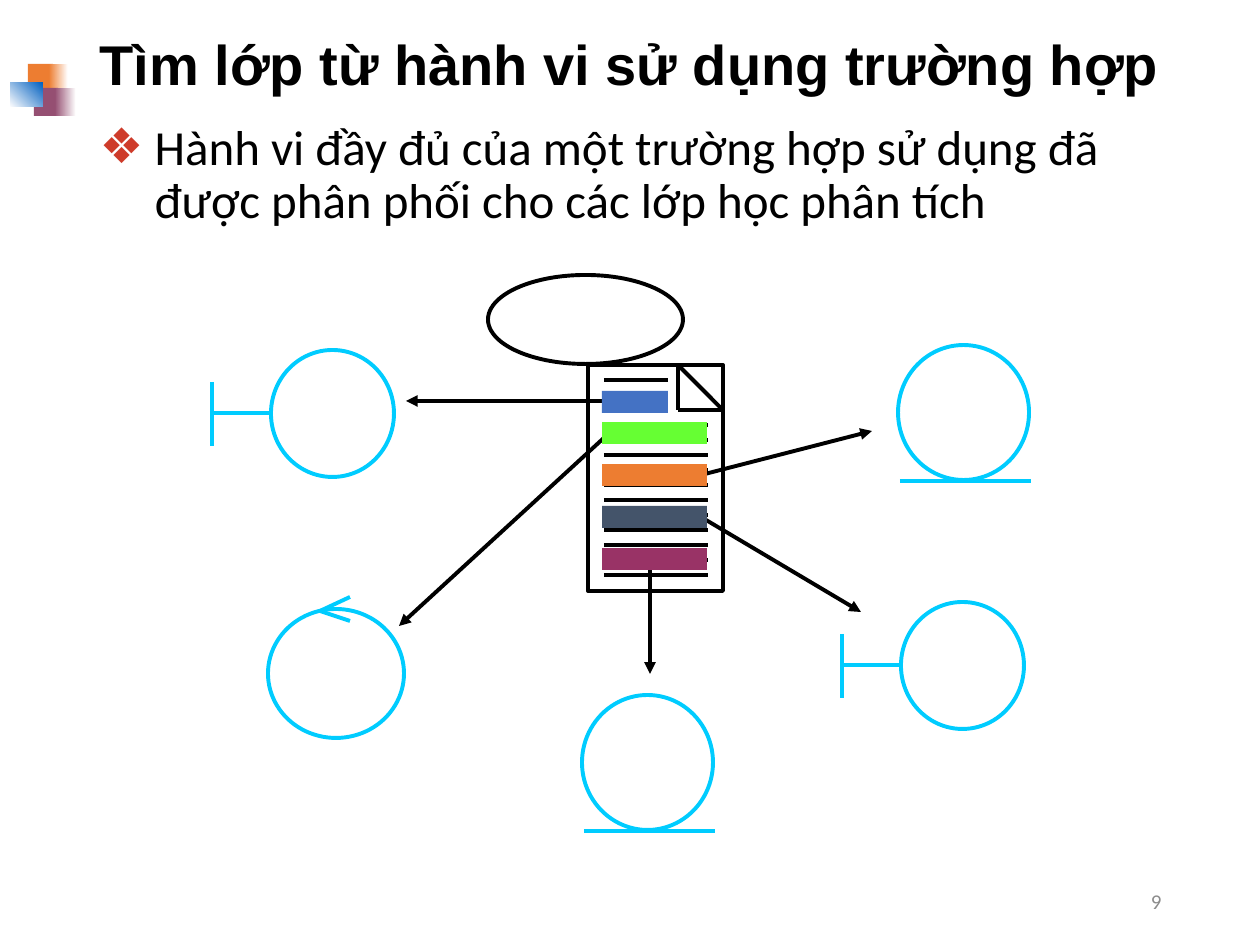
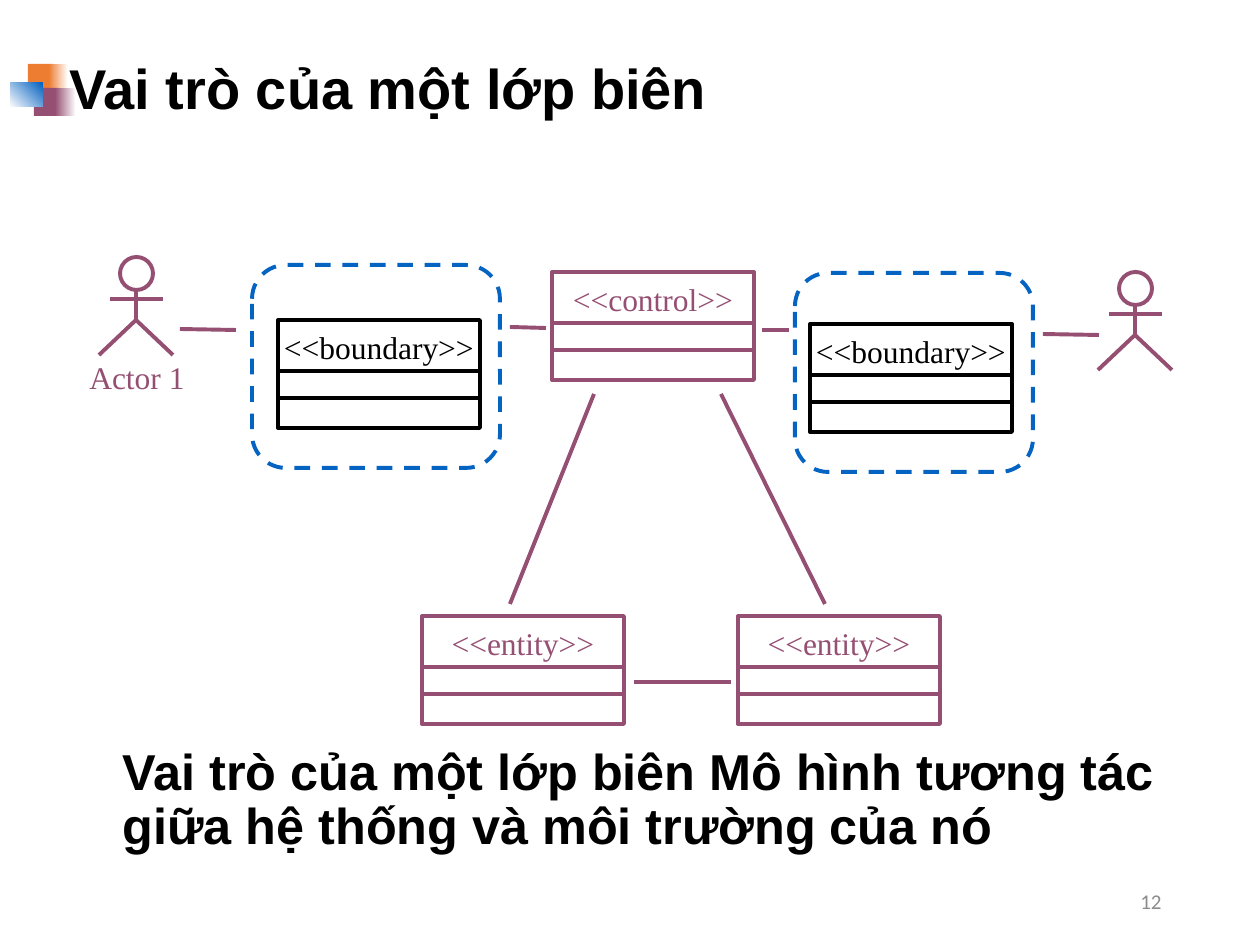
from dataclasses import dataclass

from lxml import etree
from pptx import Presentation
from pptx.dml.color import RGBColor
from pptx.enum.dml import MSO_LINE
from pptx.enum.shapes import MSO_CONNECTOR, MSO_SHAPE
from pptx.enum.text import MSO_ANCHOR, MSO_AUTO_SIZE, PP_ALIGN
from pptx.oxml.ns import qn
from pptx.util import Emu, Pt

RECT = MSO_SHAPE.RECTANGLE
ROUNDED = MSO_SHAPE.ROUNDED_RECTANGLE
OVAL = MSO_SHAPE.OVAL
STRAIGHT = MSO_CONNECTOR.STRAIGHT
DASH = MSO_LINE.DASH
TOP, MIDDLE = MSO_ANCHOR.TOP, MSO_ANCHOR.MIDDLE
LEFT, CENTER, RIGHT = PP_ALIGN.LEFT, PP_ALIGN.CENTER, PP_ALIGN.RIGHT
NO_AUTOFIT = MSO_AUTO_SIZE.NONE

SCALE = 914400 / 126
TITLE_AND_BODY, TITLE_ONLY = 1, 5


@dataclass(frozen=True)
class Theme:
    ink: str = "000000"
    paper: str = "FFFFFF"
    orange: str = "ED7D31"
    plum: str = "954F72"
    blue: str = "0563C1"
    cyan: str = "00CCFF"
    bullet: str = "CE3B2A"
    muted: str = "8C8C8C"
    steps: tuple = ("4472C4", "66FF33", "ED7D31", "44546A", "993366")
    heading_font: str = "Arial"
    body_font: str = "Calibri"
    diagram_font: str = "Times New Roman"
    heading_size: float = 32
    statement_size: float = 28.8
    body_size: float = 28
    diagram_size: float = 18
    number_size: float = 12
    stroke: float = 2.25


def px(length):
    return Emu(round(length * SCALE))


def rgb(value):
    return RGBColor.from_string(value)


def write(frame, text, *, font, size, color, bold=False, align=LEFT,
          anchor=TOP, spacing=None, wrap=True, inset=None, bullet=None):
    frame.auto_size = NO_AUTOFIT
    frame.word_wrap = wrap
    frame.vertical_anchor = anchor
    if inset is not None:
        frame.margin_left = frame.margin_right = px(inset)
        frame.margin_top = frame.margin_bottom = px(inset)
    paragraph = frame.paragraphs[0]
    paragraph.alignment = align
    paragraph.space_before = Pt(0)
    if spacing:
        paragraph.line_spacing = spacing
    if bullet:
        mark, mark_color, indent = bullet
        properties = paragraph._p.get_or_add_pPr()
        properties.set("marL", str(px(indent)))
        properties.set("indent", str(-px(indent)))
        tint = etree.SubElement(properties, qn("a:buClr"))
        etree.SubElement(tint, qn("a:srgbClr"), val=mark_color)
        etree.SubElement(properties, qn("a:buChar"), char=mark)
    run = paragraph.add_run()
    run.text = text
    run.font.name = font
    run.font.size = Pt(size)
    run.font.bold = bold
    run.font.color.rgb = rgb(color)


class Deck:
    def __init__(self, theme):
        self.theme = theme
        self.presentation = Presentation()
        self.presentation.slide_width = px(1260)
        self.presentation.slide_height = px(945)
        self.slide = None

    def start(self, layout, number):
        layouts = self.presentation.slide_layouts
        self.slide = self.presentation.slides.add_slide(layouts[layout])
        self.emblem()
        t = self.theme
        self.text((890, 876, 284, 50), number, font=t.body_font,
                  size=t.number_size, color=t.muted, align=RIGHT,
                  anchor=MIDDLE)

    def emblem(self):
        t = self.theme
        for color, y, solid_x, solid_w, fade_x, fade_w in (
            (t.orange, 64, 28, 25, 49, 19),
            (t.plum, 88, 34, 24, 55, 21),
        ):
            self.shape(RECT, (solid_x, y, solid_w, 28), fill=color)
            self.gradient((fade_x, y, fade_w, 28), color, t.paper, 0)
        self.gradient((10, 83, 33, 24), t.paper, t.blue, 45)

    def placeholder(self, index, box, text, **style):
        holder = self.slide.placeholders[index]
        holder.left, holder.top, holder.width, holder.height = map(px, box)
        write(holder.text_frame, text, **style)

    def heading_style(self, size):
        t = self.theme
        return dict(font=t.heading_font, size=size, color=t.ink, bold=True,
                    anchor=MIDDLE, spacing=0.9)

    def title(self, box, text, size):
        self.placeholder(0, box, text, **self.heading_style(size))

    def body(self, box, text):
        t = self.theme
        self.placeholder(1, box, text, font=t.body_font, size=t.body_size,
                         color=t.ink, spacing=0.9, bullet=("❖", t.bullet, 55))

    def text(self, box, text, **style):
        holder = self.slide.shapes.add_textbox(*map(px, box))
        write(holder.text_frame, text, **style)

    def label(self, box, text, color):
        t = self.theme
        self.text(box, text, font=t.diagram_font, size=t.diagram_size,
                  color=color, align=CENTER, wrap=False, inset=0)

    def outline(self, shape, color, dash=None):
        shape.line.color.rgb = rgb(color)
        shape.line.width = Pt(self.theme.stroke)
        if dash:
            shape.line.dash_style = dash

    def shape(self, kind, box, fill=None, line=None, dash=None):
        shape = self.slide.shapes.add_shape(kind, *map(px, box))
        shape.shadow.inherit = False
        if fill:
            shape.fill.solid()
            shape.fill.fore_color.rgb = rgb(fill)
        else:
            shape.fill.background()
        if line:
            self.outline(shape, line, dash)
        else:
            shape.line.fill.background()
        return shape

    def gradient(self, box, first, last, angle):
        fill = self.shape(RECT, box).fill
        fill.gradient()
        fill.gradient_angle = angle
        for stop, color in zip(fill.gradient_stops, (first, last)):
            stop.color.rgb = rgb(color)

    def line(self, x1, y1, x2, y2, color, arrow=False):
        connector = self.slide.shapes.add_connector(
            STRAIGHT, *map(px, (x1, y1, x2, y2)))
        self.outline(connector, color)
        if arrow:
            etree.SubElement(connector.line._get_or_add_ln(),
                             qn("a:tailEnd"), type="triangle")
        etree.SubElement(connector._element.spPr, qn("a:effectLst"))

    def polyline(self, points, color):
        builder = self.slide.shapes.build_freeform(*points[0], scale=SCALE)
        builder.add_line_segments(points[1:], close=False)
        path = builder.convert_to_shape()
        path.shadow.inherit = False
        path.fill.background()
        self.outline(path, color)

    def entity(self, x, y):
        cyan = self.theme.cyan
        self.shape(OVAL, (x, y, 131, 135), line=cyan)
        self.line(x + 2, y + 136, x + 133, y + 136, cyan)

    def boundary(self, x, y):
        cyan = self.theme.cyan
        self.shape(OVAL, (x, y, 123, 127), line=cyan)
        self.line(x - 59, y + 32, x - 59, y + 96, cyan)
        self.line(x - 59, y + 63, x, y + 63, cyan)

    def control(self, x, y):
        cyan = self.theme.cyan
        self.shape(OVAL, (x, y, 136, 129), line=cyan)
        for barb_y in (y - 12, y + 12):
            self.line(x + 82, barb_y, x + 52, y + 2, cyan)

    def actor(self, center, top):
        plum = self.theme.plum
        hip, foot = top + 63, top + 98
        self.shape(OVAL, (center - 16, top, 33, 33), line=plum)
        self.line(center, top + 33, center, hip, plum)
        self.line(center - 26, top + 42, center + 27, top + 42, plum)
        self.polyline([(center - 37, foot), (center, hip),
                       (center + 37, foot)], plum)

    def class_box(self, x, y, stereotype, color):
        self.shape(RECT, (x, y, 202, 108), line=color)
        for divider in (y + 51, y + 78):
            self.line(x, divider, x + 202, divider, color)
        self.label((x, y + 8, 202, 38), stereotype, color)

    def use_case_document(self):
        t = self.theme
        self.shape(OVAL, (488, 275, 195, 89), line=t.ink)
        self.shape(RECT, (588, 365, 135, 226), line=t.ink)
        for fold in ((678, 365, 723, 410), (678, 365, 678, 410),
                     (723, 410, 678, 410)):
            self.line(*fold, t.ink)
        for row in range(14):
            y = 380 + 15 * row
            self.line(604, y, 668 if row < 3 else 708, y, t.ink)
        for arrow in ((617, 401, 406, 401), (701, 475, 872, 431),
                      (650, 548, 650, 674), (701, 517, 861, 612),
                      (606, 436, 399, 626)):
            self.line(*arrow, t.ink, arrow=True)
        for color, y, width in zip(t.steps, (391, 422, 464, 506, 548),
                                   (66, 105, 105, 105, 105)):
            self.shape(RECT, (602, y, width, 22), fill=color)


def behaviour_slide(deck):
    deck.start(TITLE_AND_BODY, "9")
    deck.title((87, 16, 1086, 102), "Tìm lớp từ hành vi sử dụng trường hợp",
               deck.theme.heading_size)
    deck.body((87, 117, 1086, 145),
              "Hành vi đầy đủ của một trường hợp sử dụng đã "
              "được phân phối cho các lớp học phân tích")
    deck.use_case_document()
    for place in ((898, 345), (582, 695)):
        deck.entity(*place)
    for place in ((271, 350), (901, 602)):
        deck.boundary(*place)
    deck.control(268, 609)


def boundary_role_slide(deck):
    t = deck.theme
    deck.start(TITLE_ONLY, "12")
    deck.title((110, 750, 1086, 102),
               "Vai trò của một lớp biên Mô hình tương tác "
               "giữa hệ thống và môi trường của nó", t.statement_size)
    for place in ((136, 257), (1135, 272)):
        deck.actor(*place)
    deck.label((87, 358, 100, 38), "Actor 1", t.plum)
    for link in ((180, 329, 236, 330), (510, 327, 546, 328),
                 (789, 330, 762, 330), (1043, 334, 1099, 335),
                 (510, 604, 594, 394), (721, 394, 825, 604),
                 (731, 682, 634, 682)):
        deck.line(*link, t.plum)
    for frame in ((252, 265, 248, 203), (795, 273, 238, 199)):
        deck.shape(ROUNDED, frame, line=t.blue, dash=DASH)
    for x, y, stereotype, color in (
        (278, 320, "<<boundary>>", t.ink),
        (552, 272, "<<control>>", t.plum),
        (810, 324, "<<boundary>>", t.ink),
        (422, 616, "<<entity>>", t.plum),
        (738, 616, "<<entity>>", t.plum),
    ):
        deck.class_box(x, y, stereotype, color)
    deck.text((57, 23, 1134, 136), "Vai trò của một lớp biên",
              **deck.heading_style(t.heading_size))


def main():
    deck = Deck(Theme())
    behaviour_slide(deck)
    boundary_role_slide(deck)
    deck.presentation.save("out.pptx")


if __name__ == "__main__":
    main()
